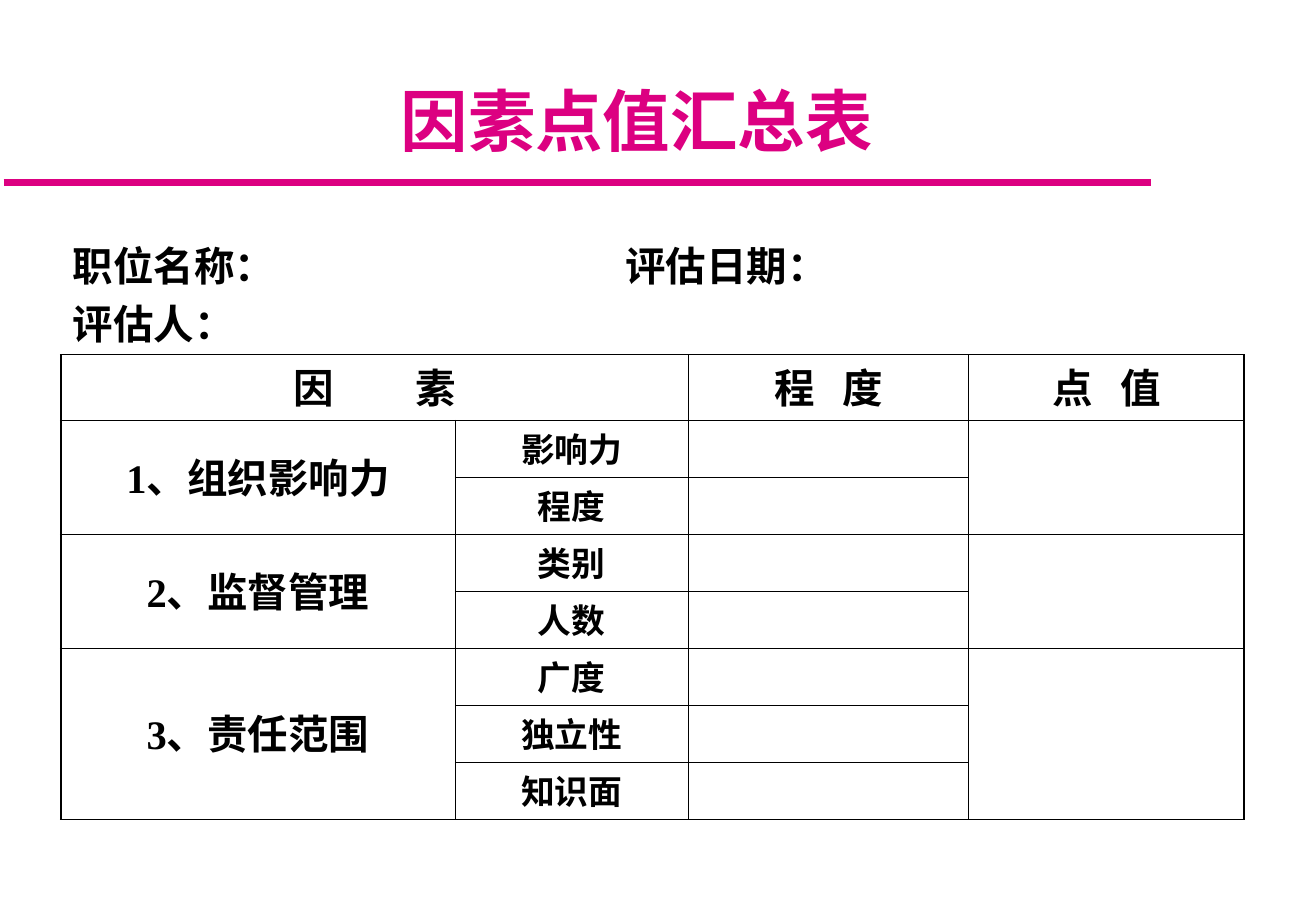
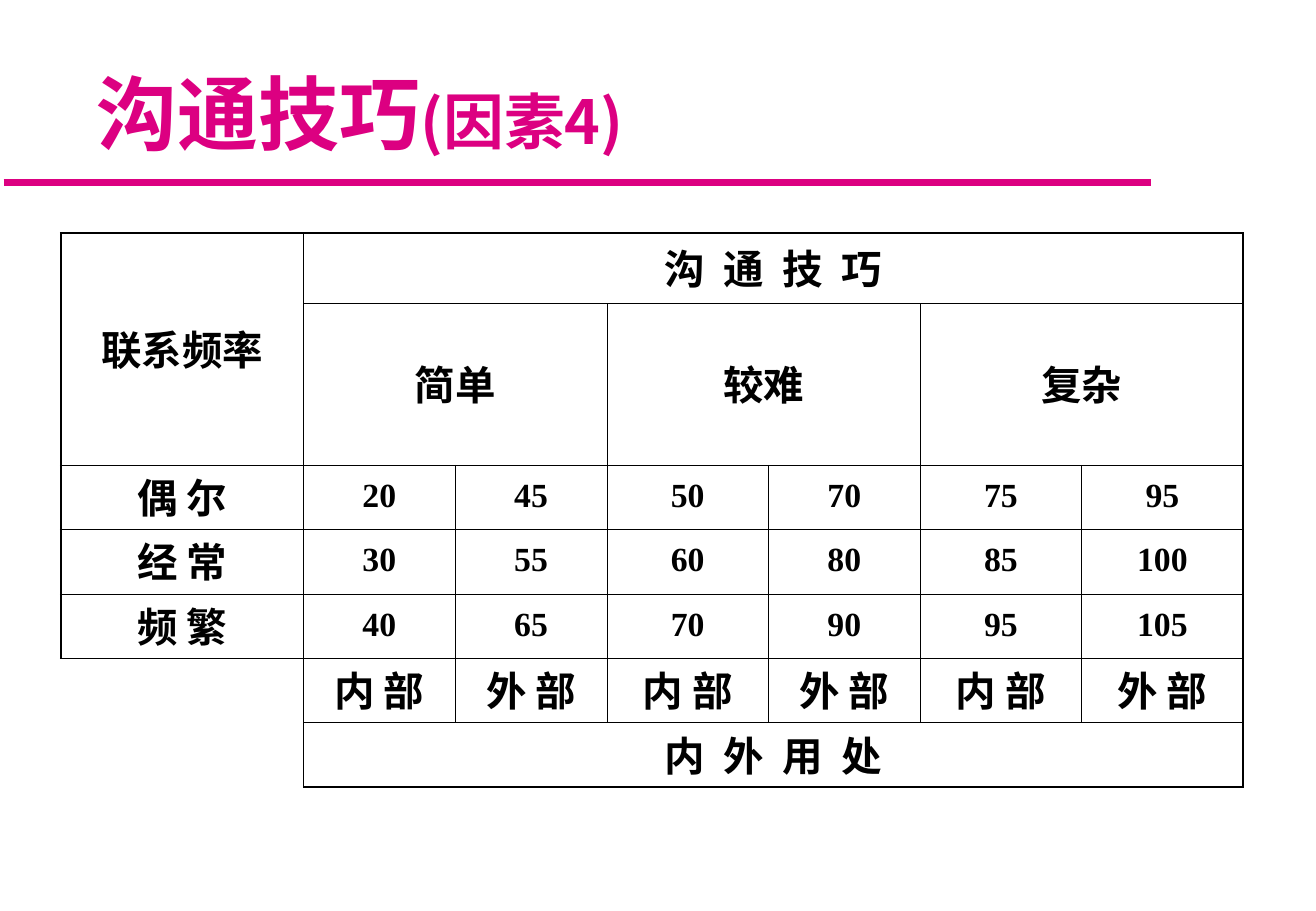
from dataclasses import dataclass
from itertools import product

from lxml import etree
from pptx import Presentation
from pptx.dml.color import RGBColor
from pptx.enum.shapes import MSO_CONNECTOR
from pptx.enum.text import MSO_ANCHOR, PP_ALIGN
from pptx.oxml.ns import qn
from pptx.util import Pt

LEFT, MID = PP_ALIGN.LEFT, PP_ALIGN.CENTER
CENTRE, BOTTOM = MSO_ANCHOR.MIDDLE, MSO_ANCHOR.BOTTOM
STRAIGHT = MSO_CONNECTOR.STRAIGHT
PX = 9144
NO_GRID = "{2D5ABB26-0587-4C30-8999-92F81FD0307C}"


@dataclass(frozen=True)
class Theme:
    """Colours, fonts and sizes shared by the slides."""
    pink: str = "DC0081"
    black: str = "000000"
    serif: str = "Times New Roman"
    sans: str = "Noto Sans CJK SC"
    head: str = "Noto Sans CJK JP"
    body: int = 24
    small: int = 20
    rule: float = 4
    thin: float = 0.45
    thick: float = 1.08


THEME = Theme()


def px(num):
    """Turn px into EMU."""
    return int(num * PX)


def put(item, **vals):
    """Set attributes from a dict of format values."""
    for key, val in vals.items():
        setattr(item, key, val)


def add_run(para, text, size, color, latin, asian, gap=0):
    """Add one bold run, with extra letter space in points."""
    run = para.add_run()
    run.text = text
    put(run.font, size=Pt(size), bold=True, name=latin)
    run.font.color.rgb = RGBColor.from_string(color)
    props = run._r.get_or_add_rPr()
    etree.SubElement(props, qn("a:ea")).set("typeface", asian)
    if gap:
        props.set("spc", str(int(gap * 100)))


def add_tab(para, pos):
    """Add a left tab stop to a paragraph."""
    stops = etree.SubElement(para._p.get_or_add_pPr(), qn("a:tabLst"))
    stop = etree.SubElement(stops, qn("a:tab"))
    stop.set("pos", str(px(pos)))
    stop.set("algn", "l")


def add_title(slide, parts, align, indent=0):
    """Draw the title, made of (text, size, font) parts, and its rule."""
    rule = slide.shapes.add_connector(STRAIGHT, px(3), px(150), px(948), px(150))
    put(rule.line, width=Pt(THEME.rule))
    rule.line.color.rgb = RGBColor.from_string(THEME.pink)
    etree.SubElement(rule._element.spPr, qn("a:effectLst"))
    box = slide.shapes.add_textbox(px(33), px(29), px(983), px(108))
    frame = box.text_frame
    put(frame, word_wrap=True, vertical_anchor=BOTTOM)
    para = frame.paragraphs[0]
    para.alignment = align
    if indent:
        para._p.get_or_add_pPr().set("marL", str(px(indent)))
    for text, size, font in parts:
        add_run(para, text, size, THEME.pink, font, font)


def fill_cell(cell, text, size, align, gap, tab):
    """Write the lines of a cell, widening each space by the gap."""
    frame = cell.text_frame
    for num, line in enumerate(text.split("\n")):
        para = frame.add_paragraph() if num else frame.paragraphs[0]
        put(para, alignment=align, line_spacing=0.9)
        if num:
            para.space_before = Pt(3)
        if "\t" in line:
            add_tab(para, tab)
        words = line.split(" ") if gap else [line]
        for spot, word in enumerate(words):
            if spot:
                add_run(para, " ", size, THEME.black, THEME.serif, THEME.sans, gap)
            add_run(para, word, size, THEME.black, THEME.serif, THEME.sans)


def add_edge(cell, side, width):
    """Draw one border of a cell."""
    line = etree.SubElement(cell._tc.get_or_add_tcPr(), qn("a:ln" + side))
    line.set("w", str(Pt(width)))
    fill = etree.SubElement(line, qn("a:solidFill"))
    etree.SubElement(fill, qn("a:srgbClr")).set("val", THEME.black)


def add_frame(grid, spot, span, bare):
    """Border a cell or merged block: thick at the outside, thin inside."""
    row, col = spot
    end, last = row + span[0] - 1, col + span[1] - 1
    sides = {"L": (row, col - 1), "R": (row, last + 1),
             "T": (row - 1, col), "B": (end + 1, col)}
    for pos in product(range(row, end + 1), range(col, last + 1)):
        cell = grid.cell(*pos)
        touch = {"L": pos[1] == col, "R": pos[1] == last,
                 "T": pos[0] == row, "B": pos[0] == end}
        for side, near in sides.items():
            inside = (0 <= near[0] < len(grid.rows)
                      and 0 <= near[1] < len(grid.columns))
            blank = spot in bare and (near in bare or not inside)
            if (touch[side] or pos == spot) and not blank:
                add_edge(cell, side, THEME.thin if inside else THEME.thick)
        cell.fill.background()


def add_grid(slide, wide, high, rows, spans, bare, small, gaps, left=(), tab=0):
    """Draw a table; None marks a cell hidden by a merge."""
    shape = slide.shapes.add_table(len(high), len(wide), px(50), px(192),
                                   px(sum(wide)), px(sum(high)))
    grid = shape.table
    put(grid, first_row=False, horz_banding=False)
    grid._tbl.tblPr.find(qn("a:tableStyleId")).text = NO_GRID
    for col, num in zip(grid.columns, wide):
        col.width = px(num)
    for row, num in zip(grid.rows, high):
        row.height = px(num)
    for (row, col), (deep, broad) in spans.items():
        grid.cell(row, col).merge(grid.cell(row + deep - 1, col + broad - 1))
    for row, texts in enumerate(rows):
        for col, text in enumerate(texts):
            if text is None:
                continue
            spot, cell = (row, col), grid.cell(row, col)
            add_frame(grid, spot, spans.get(spot, (1, 1)), bare)
            cell.vertical_anchor = CENTRE
            if text:
                size = THEME.small if spot in small else THEME.body
                align = LEFT if spot in left else MID
                fill_cell(cell, text, size, align, gaps.get(spot, 0), tab)


def add_sums(slide):
    """Build the summary form of factor points."""
    add_title(slide, [("因素点值汇总表", 40, THEME.head)], MID)
    groups = {"1、组织影响力": ["影响力", "程度"],
              "2、监督管理": ["类别", "人数"],
              "3、责任范围": ["广度", "独立性", "知识面"]}
    rows = [["职位名称：\t评估日期：\n评估人：", None, None, None],
            ["因 素", None, "程 度", "点 值"]]
    spans = {(0, 0): (1, 4), (1, 0): (1, 2)}
    for name, items in groups.items():
        for col in (0, 3):
            spans[len(rows), col] = (len(items), 1)
        for num, item in enumerate(items):
            rows.append([None, item, "", None] if num else [name, item, "", ""])
    add_grid(slide, [325, 192, 231, 227], [100, 54] + [47] * 7, rows, spans,
             bare=set(product([0], range(4))),
             small=set(product(range(2, 9), [1])),
             gaps={(1, 0): 43, (1, 2): 11, (1, 3): 11},
             left={(0, 0)}, tab=455)


def add_skill(slide):
    """Build the points matrix for communication skill."""
    add_title(slide, [("沟通技巧", 48, THEME.head), ("(因素4)", 36, THEME.sans)],
              LEFT, 37)
    rest = [None] * 5
    rows = [["联系频率", "沟 通 技 巧", *rest],
            [None, "简单", None, "较难", None, "复杂", None],
            ["偶 尔", "20", "45", "50", "70", "75", "95"],
            ["经 常", "30", "55", "60", "80", "85", "100"],
            ["频 繁", "40", "65", "70", "90", "95", "105"],
            ["", *["内 部", "外 部"] * 3],
            [None, "内 外 用 处", *rest]]
    spans = {(0, 0): (2, 1), (0, 1): (1, 6), (5, 0): (2, 1), (6, 1): (1, 6)}
    spans.update({(1, col): (1, 2) for col in (1, 3, 5)})
    add_grid(slide, [200, 125, 125, 133, 125, 133, 133],
             [58, 133] + [53] * 5, rows, spans,
             bare={(5, 0), (6, 0)},
             small=set(product(range(2, 5), range(1, 7))),
             gaps={(0, 1): 5.4, (6, 1): 5.4})


def main():
    """Build and save the slides."""
    deck = Presentation()
    put(deck, slide_width=px(1084), slide_height=px(750))
    for build in (add_sums, add_skill):
        build(deck.slides.add_slide(deck.slide_layouts[6]))
    deck.save("out.pptx")


if __name__ == "__main__":
    main()
